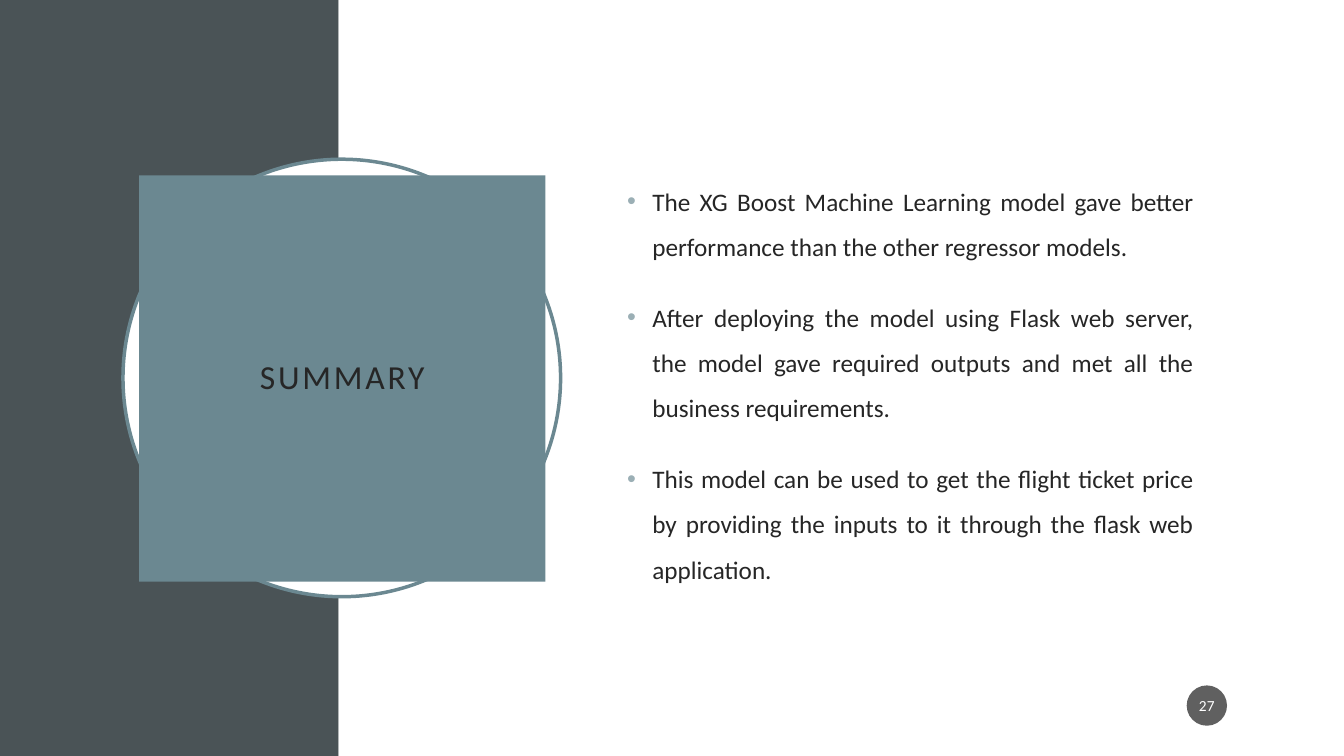
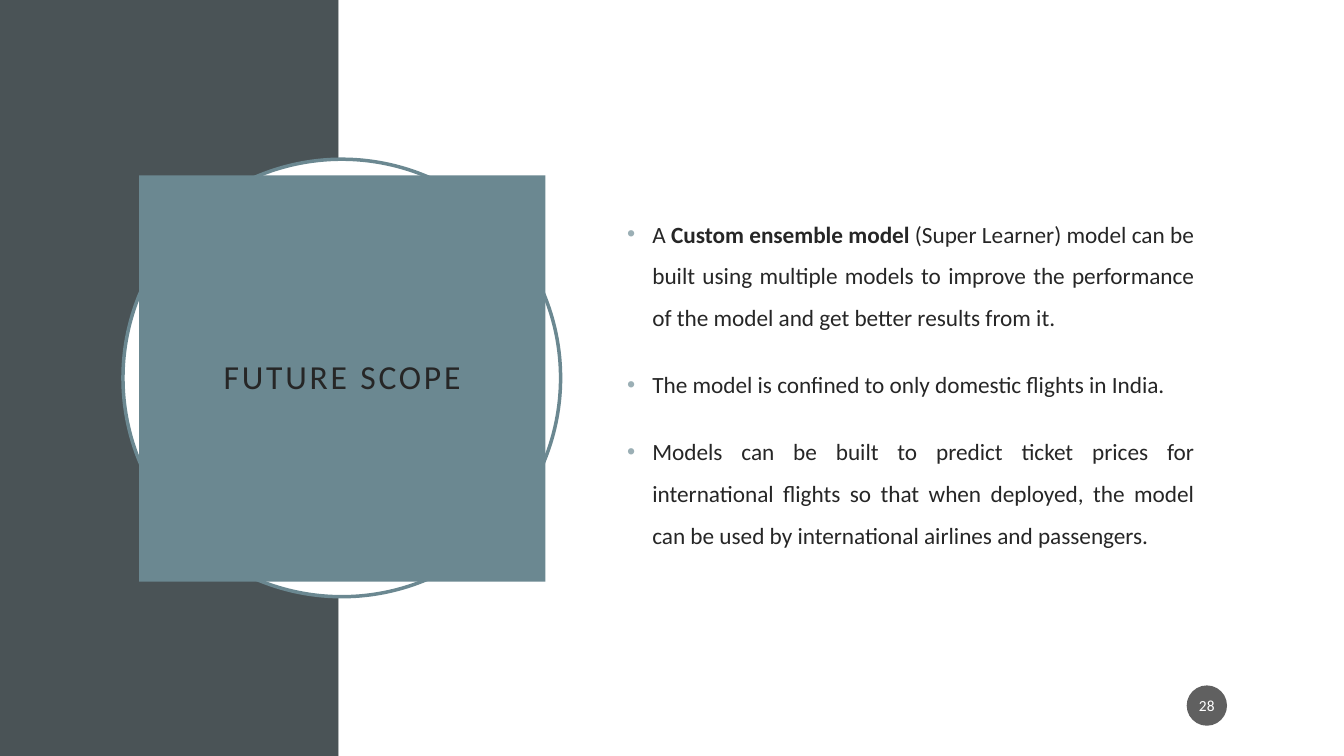
from dataclasses import dataclass
from typing import Any

from lxml.etree import SubElement
from pptx import Presentation
from pptx.dml.color import RGBColor
from pptx.enum.shapes import MSO_SHAPE
from pptx.enum.text import MSO_ANCHOR, MSO_AUTO_SIZE, PP_ALIGN
from pptx.oxml.ns import qn
from pptx.util import Inches, Pt

SLATE, TEAL, PALE_TEAL = "4A5356", "6B8891", "9BAFB5"
INK, BADGE, WHITE = "262626", "1D1D1D", "FFFFFF"
FONT = "Calibri"
SLIDE_WIDTH, SLIDE_HEIGHT, BAND_WIDTH = 13.33, 7.5, 3.36

TITLE_FORMAT = {"alignment": PP_ALIGN.CENTER, "line_spacing": 0.9}
BULLET_FORMAT = {"alignment": PP_ALIGN.JUSTIFY, "line_spacing": 1.5,
                 "space_before": Pt(10), "space_after": Pt(8)}


@dataclass(frozen=True)
class Box:
    left: float
    top: float
    width: float
    height: float

    def lengths(self) -> tuple:
        return tuple(Inches(v) for v in (self.left, self.top, self.width, self.height))


@dataclass(frozen=True)
class Backdrop:
    preset: Any
    box: Box
    fill: str
    line: str | None = None


@dataclass(frozen=True)
class Phrase:
    text: str
    bold: bool = False


@dataclass(frozen=True)
class Topic:
    title: str
    number: int
    size: float
    bullets: tuple[tuple[Phrase, ...], ...]


TITLE_BOX = Box(1.38, 1.74, 4.03, 4.03)
BODY_BOX = Box(6.12, 1.53, 5.82, 4.43)
BADGE_BOX = Box(11.77, 6.8, 0.4, 0.4)
BACKDROPS = (
    Backdrop(MSO_SHAPE.RECTANGLE, Box(0, 0, BAND_WIDTH, SLIDE_HEIGHT), SLATE),
    Backdrop(MSO_SHAPE.RECTANGLE,
             Box(BAND_WIDTH, 0, SLIDE_WIDTH - BAND_WIDTH, SLIDE_HEIGHT), WHITE),
    Backdrop(MSO_SHAPE.OVAL, Box(1.22, 1.58, 4.34, 4.34), WHITE, TEAL),
)

TOPICS = (
    Topic("SUMMARY", 27, 18, (
        (Phrase("The XG Boost Machine Learning model gave better performance than "
                "the other regressor models."),),
        (Phrase("After deploying the model using Flask web server, the model gave "
                "required outputs and met all the business requirements."),),
        (Phrase("This model can be used to get the flight ticket price by providing "
                "the inputs to it through the flask web application."),),
    )),
    Topic("FUTURE SCOPE", 28, 16.6, (
        (Phrase("A "), Phrase("Custom ensemble model ", bold=True),
         Phrase("(Super Learner) model can be built using multiple models to improve "
                "the performance of the model and get better results from it.")),
        (Phrase("The model is confined to only domestic flights in India."),),
        (Phrase("Models can be built to predict ticket prices for international "
                "flights so that when deployed, the model can be used by "
                "international airlines and passengers."),),
    )),
)


def colour(value: str) -> RGBColor:
    return RGBColor.from_string(value)


def set_attributes(target: Any, values: dict[str, Any]) -> None:
    for name, value in values.items():
        setattr(target, name, value)


def place(shape: Any, box: Box) -> None:
    left, top, width, height = box.lengths()
    set_attributes(shape, {"left": left, "top": top, "width": width, "height": height})


def paint(shape: Any, fill: str) -> None:
    shape.fill.solid()
    shape.fill.fore_color.rgb = colour(fill)


def set_frame(shape: Any, side: float, end: float) -> Any:
    """Centre the text vertically, with side and end (top and bottom) insets."""
    frame = shape.text_frame
    set_attributes(frame, {
        "word_wrap": True, "auto_size": MSO_AUTO_SIZE.NONE,
        "vertical_anchor": MSO_ANCHOR.MIDDLE,
        "margin_left": Inches(side), "margin_right": Inches(side),
        "margin_top": Inches(end), "margin_bottom": Inches(end),
    })
    return frame


def add_run(paragraph: Any, phrase: Phrase, size: float, ink: str = INK) -> Any:
    run = paragraph.add_run()
    run.text = phrase.text
    set_attributes(run.font, {"name": FONT, "size": Pt(size), "bold": phrase.bold})
    run.font.color.rgb = colour(ink)
    return run


def add_bullet(paragraph: Any) -> None:
    properties = paragraph._p.get_or_add_pPr()
    properties.set("marL", str(Inches(0.25)))
    properties.set("indent", str(Inches(-0.25)))
    SubElement(SubElement(properties, qn("a:buClr")), qn("a:srgbClr"), val=PALE_TEAL)
    SubElement(properties, qn("a:buFont"), typeface="Arial")
    SubElement(properties, qn("a:buChar"), char="•")


def add_backdrop(slide: Any, part: Backdrop) -> Any:
    shape = slide.shapes.add_shape(part.preset, *part.box.lengths())
    shape.shadow.inherit = False
    paint(shape, part.fill)
    if part.line:
        shape.line.color.rgb = colour(part.line)
        shape.line.width = Pt(2.5)
    else:
        shape.line.fill.background()
    return shape


def bring_to_front(shape: Any) -> None:
    shape.element.getparent().append(shape.element)


def fill_title(title: Any, text: str) -> None:
    place(title, TITLE_BOX)
    paint(title, TEAL)
    paragraph = set_frame(title, 0.2, 0.2).paragraphs[0]
    set_attributes(paragraph, TITLE_FORMAT)
    run = add_run(paragraph, Phrase(text), 24)
    run.font._element.set("spc", "200")
    bring_to_front(title)


def fill_body(body: Any, topic: Topic) -> None:
    place(body, BODY_BOX)
    frame = set_frame(body, 0.1, 0.05)
    for index, phrases in enumerate(topic.bullets):
        paragraph = frame.add_paragraph() if index else frame.paragraphs[0]
        add_bullet(paragraph)
        set_attributes(paragraph, BULLET_FORMAT)
        for phrase in phrases:
            add_run(paragraph, phrase, topic.size)
    frame.paragraphs[0].space_before = Pt(0)
    bring_to_front(body)


def add_page_badge(slide: Any, number: int) -> None:
    badge = add_backdrop(slide, Backdrop(MSO_SHAPE.OVAL, BADGE_BOX, BADGE))
    tint = badge.element.spPr.find(f"{qn('a:solidFill')}/{qn('a:srgbClr')}")
    SubElement(tint, qn("a:alpha"), val="70000")
    paragraph = set_frame(badge, 0.02, 0.05).paragraphs[0]
    paragraph.alignment = PP_ALIGN.CENTER
    add_run(paragraph, Phrase(str(number)), 11, WHITE)


def add_topic_slide(deck: Any, topic: Topic) -> None:
    slide = deck.slides.add_slide(deck.slide_layouts[1])
    for part in BACKDROPS:
        add_backdrop(slide, part)
    fill_title(slide.shapes.title, topic.title)
    fill_body(slide.placeholders[1], topic)
    add_page_badge(slide, topic.number)


def main() -> None:
    deck = Presentation()
    deck.slide_width, deck.slide_height = Inches(SLIDE_WIDTH), Inches(SLIDE_HEIGHT)
    for topic in TOPICS:
        add_topic_slide(deck, topic)
    deck.save("out.pptx")


if __name__ == "__main__":
    main()
